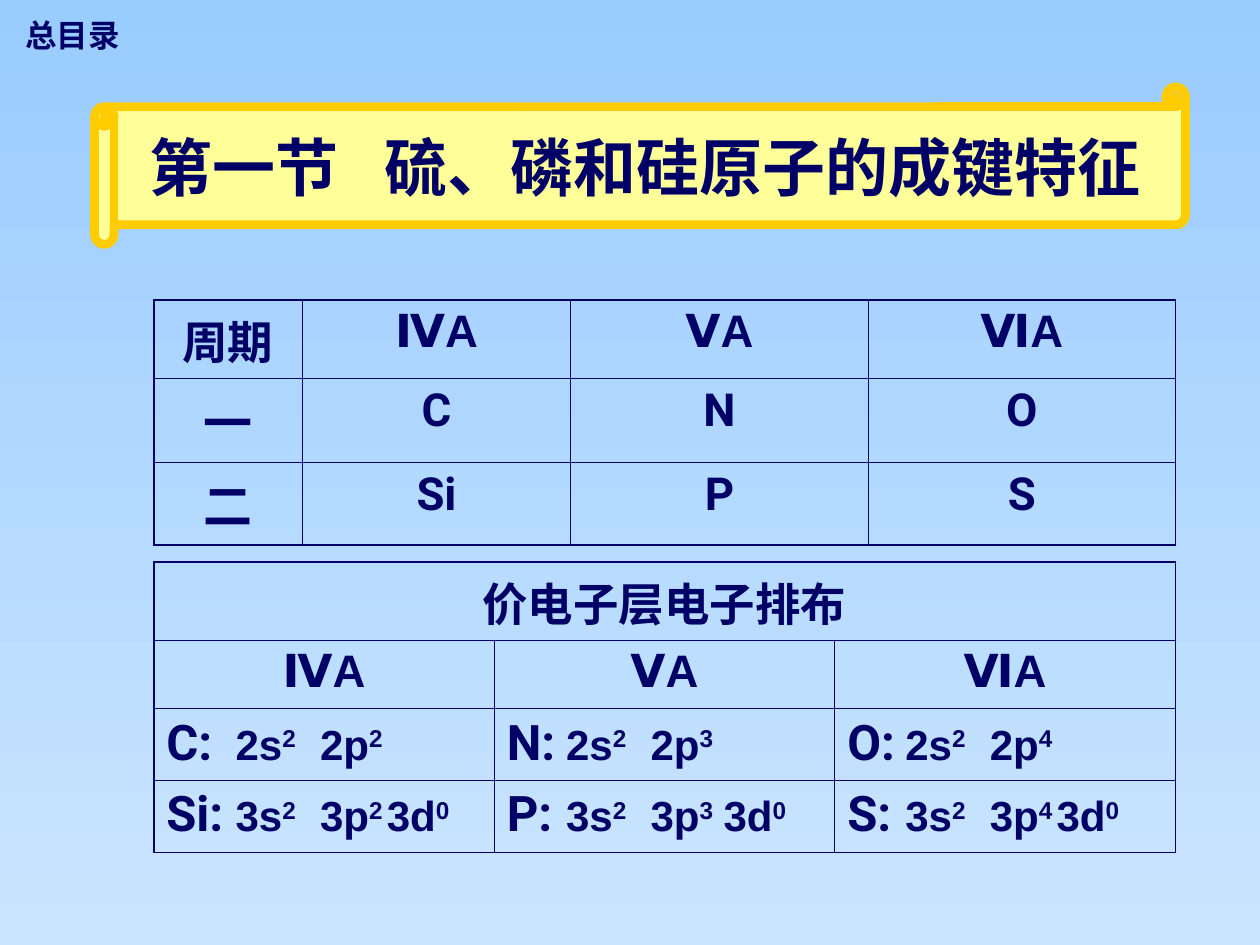
from dataclasses import dataclass

from lxml.etree import SubElement
from pptx import Presentation
from pptx.dml.color import RGBColor
from pptx.enum.shapes import MSO_SHAPE
from pptx.enum.text import MSO_ANCHOR, PP_ALIGN
from pptx.oxml.ns import qn
from pptx.util import Inches, Pt


@dataclass(frozen=True)
class Theme:
    ink: str = "000066"
    paper: str = "FFFF99"
    gold: str = "FFCC00"
    sky: tuple = ("99CCFF", "CBE5FF")
    sans: str = "Roboto"
    plain: str = "Arial"
    han: str = "Noto Sans CJK SC"
    head: int = 36
    large: int = 28
    cell: int = 26
    orb: int = 24
    small: int = 18
    thick: float = 1.08
    thin: float = 0.45


def unit(count):
    """Length of so many steps of the 100 by 75 grid."""
    return Inches(count / 10)


class Page:
    def __init__(self, deck, theme):
        self.theme = theme
        self.slide = deck.slides.add_slide(deck.slide_layouts[5])
        self.shapes = self.slide.shapes

    def sky(self):
        fill = self.slide.background.fill
        fill.gradient()
        fill.gradient_angle = 270
        for stop, color, spot in zip(fill.gradient_stops, self.theme.sky, (0, 1)):
            stop.color.rgb = RGBColor.from_string(color)
            stop.position = spot

    def style(self, run, size, face):
        font = run.font
        font.size, font.name, font.bold = Pt(size), face, True
        font.color.rgb = RGBColor.from_string(self.theme.ink)

    def label(self, text, *box):
        frame = self.shapes.add_textbox(*map(unit, box)).text_frame
        frame.word_wrap = False
        frame.text = text
        self.style(frame.paragraphs[0].runs[0], self.theme.small, self.theme.sans)

    def scroll(self, *box):
        shape = self.shapes.add_shape(MSO_SHAPE.HORIZONTAL_SCROLL, *map(unit, box))
        shape.shadow.inherit = False
        shape.fill.solid()
        shape.fill.fore_color.rgb = RGBColor.from_string(self.theme.paper)
        shape.line.color.rgb = RGBColor.from_string(self.theme.gold)
        shape.line.width = Pt(5)

    def title(self, part, name, *box):
        shape = self.shapes.title
        shape.left, shape.top, shape.width, shape.height = map(unit, box)
        # Bring the title in front of the scroll
        self.shapes._spTree.append(shape._element)
        frame = shape.text_frame
        frame.vertical_anchor = MSO_ANCHOR.MIDDLE
        line = frame.paragraphs[0]
        line.alignment = PP_ALIGN.CENTER
        for text in (part, " ", name):
            run = line.add_run()
            run.text = text
            self.style(run, self.theme.head, self.theme.han)
        # Widen the gap between section number and name
        line.runs[1].font._element.set("spc", "1800")

    def table(self, left, top, cols, rows, foot):
        box = map(unit, (left, top, sum(cols), sum(rows)))
        table = self.shapes.add_table(len(rows), len(cols), *box).table
        table.first_row = table.horz_banding = False
        for col, width in zip(table.columns, cols):
            col.width = unit(width)
        for row, height in zip(table.rows, rows):
            row.height = unit(height)
        thick, thin = self.theme.thick, self.theme.thin
        for r in range(len(rows)):
            for c in range(len(cols)):
                cell = table.cell(r, c)
                self.edges(cell, {
                    "a:lnL": thin if c else thick,
                    "a:lnR": thick if c == len(cols) - 1 else thin,
                    "a:lnT": thin if r else thick,
                    "a:lnB": foot if r == len(rows) - 1 else thin,
                })
                cell.fill.background()
        return table

    def edges(self, cell, widths):
        props = cell._tc.get_or_add_tcPr()
        for tag, width in widths.items():
            line = SubElement(props, qn(tag), w=str(Pt(width)))
            fill = SubElement(line, qn("a:solidFill"))
            SubElement(fill, qn("a:srgbClr"), val=self.theme.ink)

    def word(self, cell, text, size, face):
        cell.text_frame.text = text
        line = cell.text_frame.paragraphs[0]
        line.alignment = PP_ALIGN.CENTER
        self.style(line.runs[0], size, face)

    def shells(self, cell, atom, orbs, stops):
        """Element symbol, then tabbed orbitals with raised electron counts."""
        line = cell.text_frame.paragraphs[0]
        tabs = SubElement(line._p.get_or_add_pPr(), qn("a:tabLst"))
        for stop in stops:
            SubElement(tabs, qn("a:tab"), pos=str(Inches(stop)), algn="l")
        run = line.add_run()
        run.text = atom + ":"
        self.style(run, self.theme.large, self.theme.sans)
        for orb in orbs.split():
            for text, lift in (("\t" + orb[:-1], "0"), (orb[-1], "30000")):
                run = line.add_run()
                run.text = text
                self.style(run, self.theme.orb, self.theme.plain)
                run.font._element.set("baseline", lift)


def main():
    deck = Presentation()
    deck.slide_width, deck.slide_height = unit(100), unit(75)
    theme = Theme()
    page = Page(deck, theme)
    page.sky()
    page.label("总目录", 1, 0.8, 9.5, 4)

    # Heading on a scroll
    page.scroll(7.5, 6.9, 86.6, 12.5)
    page.title("第一节", "硫、磷和硅原子的成键特征", 9.1, 8.5, 84.2, 9.4)

    groups = ("ⅣA", "ⅤA", "ⅥA")
    left = 12.2

    # Elements by period and group
    table = page.table(left, 23.8, (11.8, 21.3, 23.6, 24.4), (6, 5.8, 5.9), theme.thick)
    grid = (("周期", *groups), ("一", "C", "N", "O"), ("二", "Si", "P", "S"))
    for r, row in enumerate(grid):
        for c, text in enumerate(row):
            size = theme.large if r and not c else theme.cell
            face = theme.plain if c and not r else theme.sans
            page.word(table.cell(r, c), text, size, face)

    # Valence electrons
    table = page.table(left, 44.6, (27.03,) * 3, (5.4, 5.4, 5.7, 5.7), theme.thin)
    table.cell(0, 0).merge(table.cell(0, 2))
    page.word(table.cell(0, 0), "价电子层电子排布", theme.cell, theme.plain)
    stops = ((0.55, 1.22, 1.75), (0.47, 1.14, 1.72), (0.46, 1.13, 1.66))
    atoms = (("C", "Si"), ("N", "P"), ("O", "S"))
    for c, (group, pair) in enumerate(zip(groups, atoms)):
        page.word(table.cell(1, c), group, theme.cell, theme.plain)
        count = c + 2
        page.shells(table.cell(2, c), pair[0], f"2s2 2p{count}", stops[c])
        page.shells(table.cell(3, c), pair[1], f"3s2 3p{count} 3d0", stops[c])

    deck.save("out.pptx")


if __name__ == "__main__":
    main()
